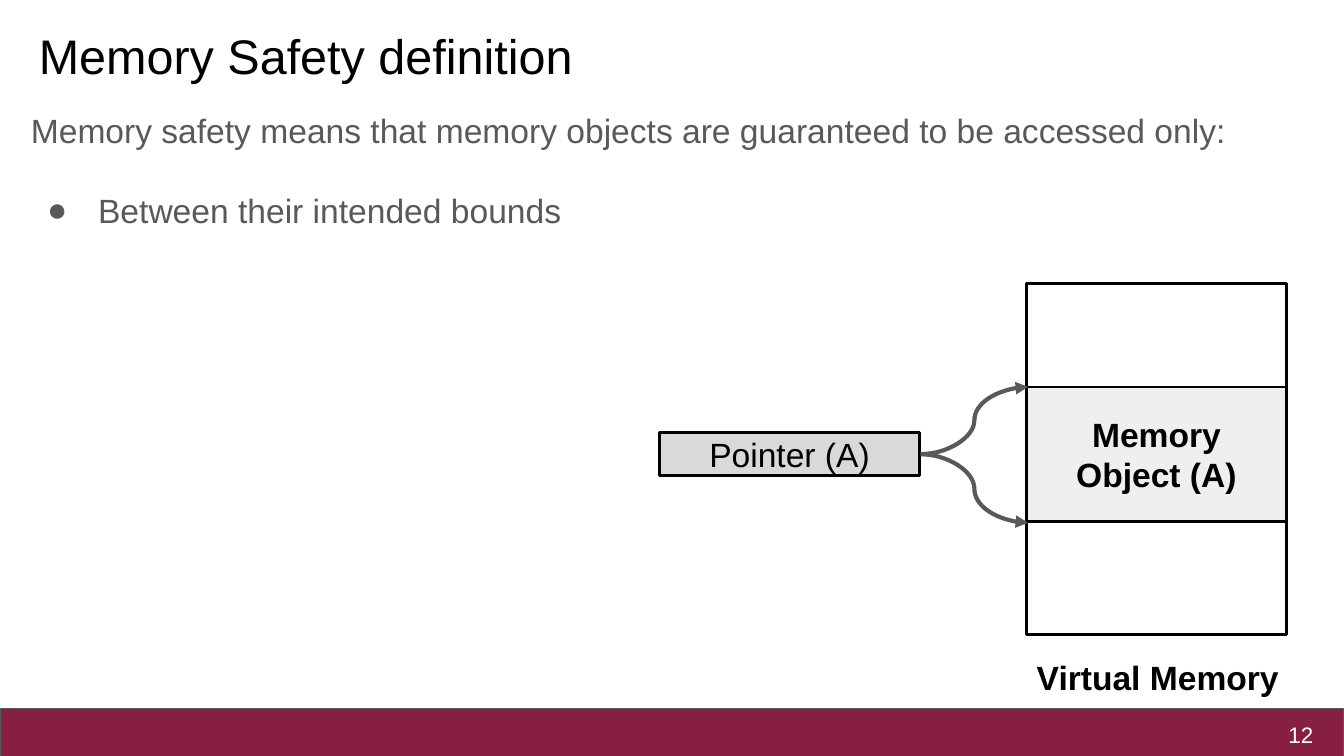
from dataclasses import dataclass

from lxml import etree
from pptx import Presentation
from pptx.dml.color import RGBColor
from pptx.enum import shapes, text
from pptx.oxml.ns import qn
from pptx.util import Inches, Pt


@dataclass(frozen=True)
class Theme:
    font: str = "Arial"
    black: str = "000000"
    white: str = "FFFFFF"
    gray: str = "595959"
    maroon: str = "861F41"
    object_fill: str = "EFEFEF"
    pointer_fill: str = "D9D9D9"
    title_size: int = 26
    body_size: int = 18
    number_size: int = 12


THEME = Theme()
CENTER = text.PP_ALIGN.CENTER
MIDDLE = text.MSO_ANCHOR.MIDDLE


def set_frame(tf, anchor, insets=(0.1, 0.1, 0.1, 0.1)):
    tf.word_wrap = True
    tf.vertical_anchor = anchor
    tf.margin_left, tf.margin_top, tf.margin_right, tf.margin_bottom = map(Inches, insets)


def add_run(p, words, color, size=THEME.body_size, bold=False):
    r = p.add_run()
    r.text = words
    r.font.name = THEME.font
    r.font.size = Pt(size)
    r.font.bold = bold
    r.font.color.rgb = RGBColor.from_string(color)


def add_label(slide, box, words, color, size=THEME.body_size, bold=False,
              align=CENTER, anchor=MIDDLE):
    tf = slide.shapes.add_textbox(*map(Inches, box)).text_frame
    set_frame(tf, anchor)
    tf.paragraphs[0].alignment = align
    add_run(tf.paragraphs[0], words, color, size, bold)


def add_box(slide, box, fill, line=THEME.black, width=1.5, words="", bold=False):
    sp = slide.shapes.add_shape(shapes.MSO_SHAPE.RECTANGLE, *map(Inches, box))
    sp.shadow.inherit = False
    sp.fill.solid()
    sp.fill.fore_color.rgb = RGBColor.from_string(fill)
    sp.line.color.rgb = RGBColor.from_string(line)
    sp.line.width = Pt(width)
    if words:
        set_frame(sp.text_frame, MIDDLE)
        p = sp.text_frame.paragraphs[0]
        p.alignment = CENTER
        add_run(p, words, THEME.black, bold=bold)


def make_bullet(p):
    pPr = p._p.get_or_add_pPr()
    pPr.set("marL", str(Inches(0.5)))
    pPr.set("indent", str(Inches(-0.38)))
    color = etree.SubElement(pPr, qn("a:buClr"))
    etree.SubElement(color, qn("a:srgbClr"), val=THEME.gray)
    etree.SubElement(pPr, qn("a:buSzPts"), val=str(THEME.body_size * 100))
    etree.SubElement(pPr, qn("a:buFont"), typeface=THEME.font)
    etree.SubElement(pPr, qn("a:buChar"), char="●")


def add_body(slide):
    tf = slide.shapes.add_textbox(*map(Inches, (0.19, 0.79, 9.13, 3.74))).text_frame
    set_frame(tf, text.MSO_ANCHOR.TOP, (0.04, 0.03, 0.03, 0.03))
    add_run(tf.paragraphs[0],
            "Memory safety means that memory objects are guaranteed to be accessed only:",
            THEME.gray)
    p = tf.add_paragraph()
    p.space_before = Pt(21)
    make_bullet(p)
    add_run(p, "Between their intended bounds", THEME.gray)


def add_curved_arrow(slide, start, end):
    cxn = slide.shapes.add_connector(shapes.MSO_CONNECTOR.CURVE, *map(Inches, start + end))
    cxn.line.color.rgb = RGBColor.from_string(THEME.gray)
    cxn.line.width = Pt(2.25)
    etree.SubElement(cxn.line._get_or_add_ln(), qn("a:tailEnd"), type="triangle")
    etree.SubElement(cxn._element.spPr, qn("a:effectLst"))


def main():
    prs = Presentation()
    prs.slide_width = Inches(10)
    prs.slide_height = prs.slide_width * 9 // 16
    slide = prs.slides.add_slide(prs.slide_layouts[6])

    add_box(slide, (0, 5.27, 10, 0.37), THEME.maroon, THEME.gray, 0.75)
    add_label(slide, (0.19, 0.09, 9.59, 0.63), "Memory Safety definition", THEME.black,
              THEME.title_size, align=text.PP_ALIGN.LEFT, anchor=text.MSO_ANCHOR.TOP)
    add_body(slide)

    memory_left, box_width = 7.64, 1.93
    object_top, object_height = 2.88, 1
    add_box(slide, (memory_left, 2.11, box_width, 2.61), THEME.white)
    add_label(slide, (7.5, 4.82, 2.23, 0.43), "Virtual Memory", THEME.black, bold=True)
    add_box(slide, (memory_left, object_top, box_width, object_height),
            THEME.object_fill, words="Memory Object (A)", bold=True)
    add_box(slide, (4.91, 3.22, box_width, 0.32), THEME.pointer_fill, words="Pointer (A)")
    for bound in (object_top, object_top + object_height + 0.01):
        add_curved_arrow(slide, (6.85, 3.38), (memory_left + 0.01, bound))

    add_label(slide, (9.27, 5.28, 0.6, 0.37), "12", THEME.white, THEME.number_size,
              align=text.PP_ALIGN.RIGHT)
    prs.save("out.pptx")


if __name__ == "__main__":
    main()
